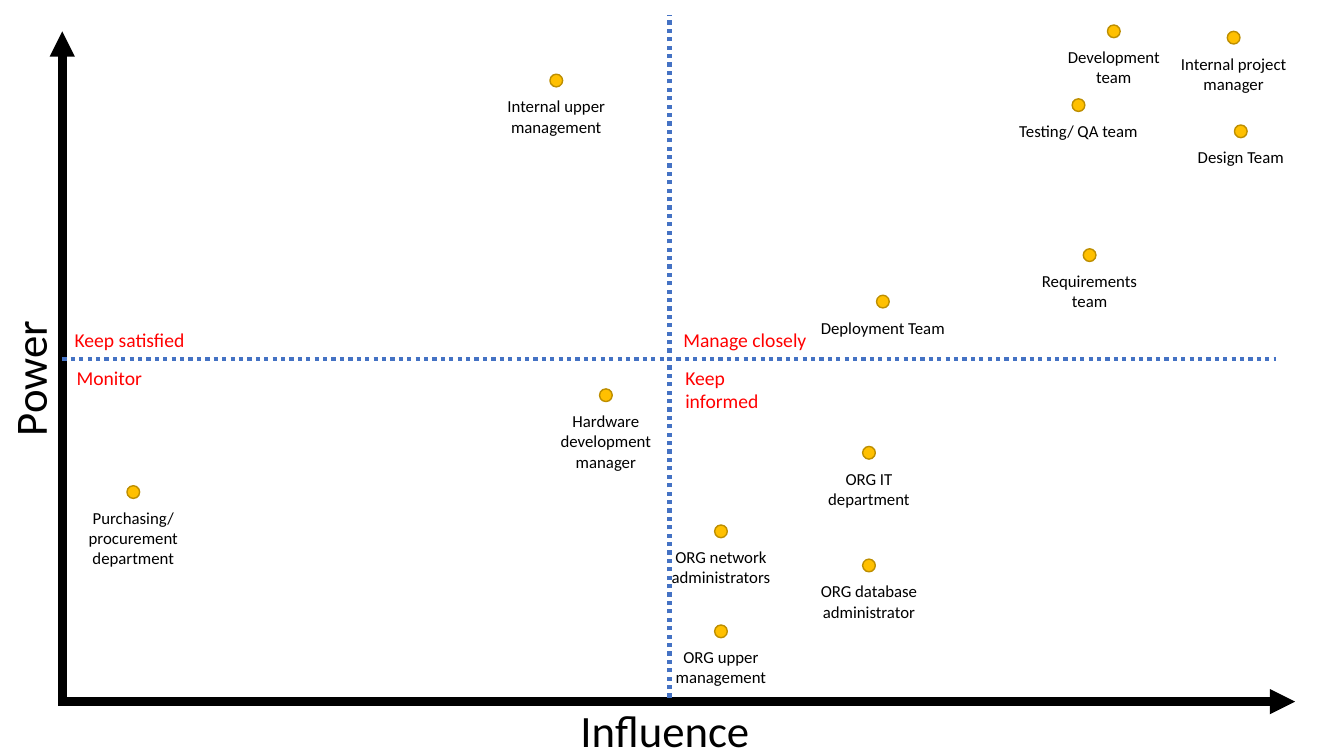
from lxml import etree
from pptx import Presentation
from pptx.dml.color import RGBColor
from pptx.enum.dml import MSO_LINE
from pptx.enum.shapes import MSO_CONNECTOR, MSO_SHAPE
from pptx.enum.text import MSO_AUTO_SIZE, PP_ALIGN
from pptx.oxml.ns import qn
from pptx.util import Cm, Pt

DOTTED = MSO_LINE.ROUND_DOT
STRAIGHT = MSO_CONNECTOR.STRAIGHT
OVAL = MSO_SHAPE.OVAL
FIT_SHAPE = MSO_AUTO_SIZE.SHAPE_TO_FIT_TEXT
LEFT, CENTER = PP_ALIGN.LEFT, PP_ALIGN.CENTER

BLACK, RED, BLUE, GOLD, DARK_GOLD = "000000", "FF0000", "4472C4", "FFC000", "BD8E00"
FONT = "Calibri"

AXES = [(1.57, 17.78, 1.57, 0.79), (1.52, 17.68, 32.64, 17.68)]
DIVIDERS = [(1.57, 9.04, 32.16, 9.04), (16.87, 17.58, 16.87, 0.38)]
AXIS_TITLES = [
    ("Power", -0.97, 8.71, 3.43, 270),
    ("Influence", 14.38, 17.58, 5.13, 0),
]
QUADRANTS = [
    ("Keep satisfied", 1.63, 8.15, 3.45),
    ("Monitor", 1.68, 9.09, 3.45),
    ("Manage closely", 16.97, 8.15, 3.73),
    ("Keep informed", 17.02, 9.09, 3.45),
]
STAKEHOLDERS = [
    ("ORG upper management", 18.17, 15.91, 2),
    ("ORG IT department", 21.9, 11.41, 2),
    ("Purchasing/ procurement department", 3.36, 12.4, 3),
    ("Design Team", 31.27, 3.31, 1),
    ("Testing/ QA team", 27.18, 2.65, 1),
    ("Internal project manager", 31.09, 0.95, 2),
    ("Development team", 28.07, 0.79, 2),
    ("Deployment Team", 22.25, 7.6, 1),
    ("Hardware development manager", 15.27, 9.96, 3),
    ("Requirements team", 27.46, 6.43, 2),
    ("ORG network administrators", 18.17, 13.39, 2),
    ("ORG database administrator", 21.9, 14.25, 2),
    ("Internal upper management", 14.02, 2.03, 2),
]
DOT_SIZE = 0.32
LABEL_WIDTH, LABEL_DROP = 3.73, 0.27
LABEL_PADDING, LABEL_LINE = 0.25, 0.51


def color(hex_code):
    return RGBColor.from_string(hex_code)


def add_line(ends, hex_code, width):
    line = slide.shapes.add_connector(STRAIGHT, *map(Cm, ends))
    line.line.color.rgb = color(hex_code)
    line.line.width = Pt(width)
    etree.SubElement(line._element.spPr, qn("a:effectLst"))
    return line


def add_text(text, left, top, width, height, size, hex_code, align=LEFT):
    box = slide.shapes.add_textbox(Cm(left), Cm(top), Cm(width), Cm(height))
    frame = box.text_frame
    frame.word_wrap = True
    frame.auto_size = FIT_SHAPE
    paragraph = frame.paragraphs[0]
    paragraph.alignment = align
    run = paragraph.add_run()
    run.text = text
    run.font.name = FONT
    run.font.size = Pt(size)
    run.font.color.rgb = color(hex_code)
    return box


def add_dot(x, y):
    corner = Cm(x - DOT_SIZE / 2), Cm(y - DOT_SIZE / 2)
    dot = slide.shapes.add_shape(OVAL, *corner, Cm(DOT_SIZE), Cm(DOT_SIZE))
    dot.shadow.inherit = False
    dot.fill.solid()
    dot.fill.fore_color.rgb = color(GOLD)
    dot.line.color.rgb = color(DARK_GOLD)
    dot.line.width = Pt(1)


deck = Presentation()
deck.slide_width, deck.slide_height = Cm(33.87), Cm(19.05)
slide = deck.slides.add_slide(deck.slide_layouts[6])

for ends in AXES:
    axis = add_line(ends, BLACK, 6)
    etree.SubElement(axis.line._get_or_add_ln(), qn("a:tailEnd"), type="triangle")

for title, left, top, width, angle in AXIS_TITLES:
    add_text(title, left, top, width, 1.63, 32, BLACK).rotation = angle

for ends in DIVIDERS:
    add_line(ends, BLUE, 3).line.dash_style = DOTTED

for quadrant, left, top, width in QUADRANTS:
    add_text(quadrant, left, top, width, 0.86, 14, RED)

for stakeholder, x, y, lines in STAKEHOLDERS:
    add_dot(x, y)
    height = LABEL_PADDING + lines * LABEL_LINE
    add_text(stakeholder, x - LABEL_WIDTH / 2, y + LABEL_DROP, LABEL_WIDTH, height, 12, BLACK, CENTER)

deck.save("out.pptx")
